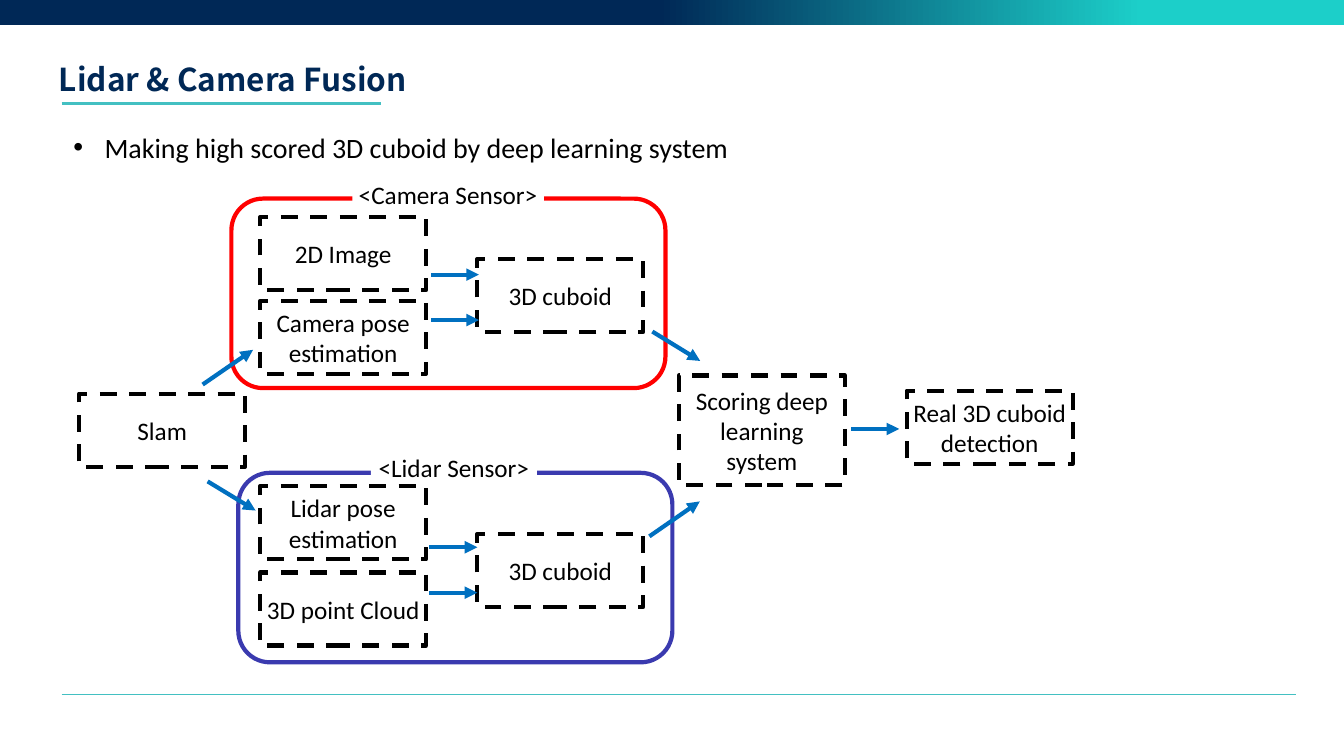
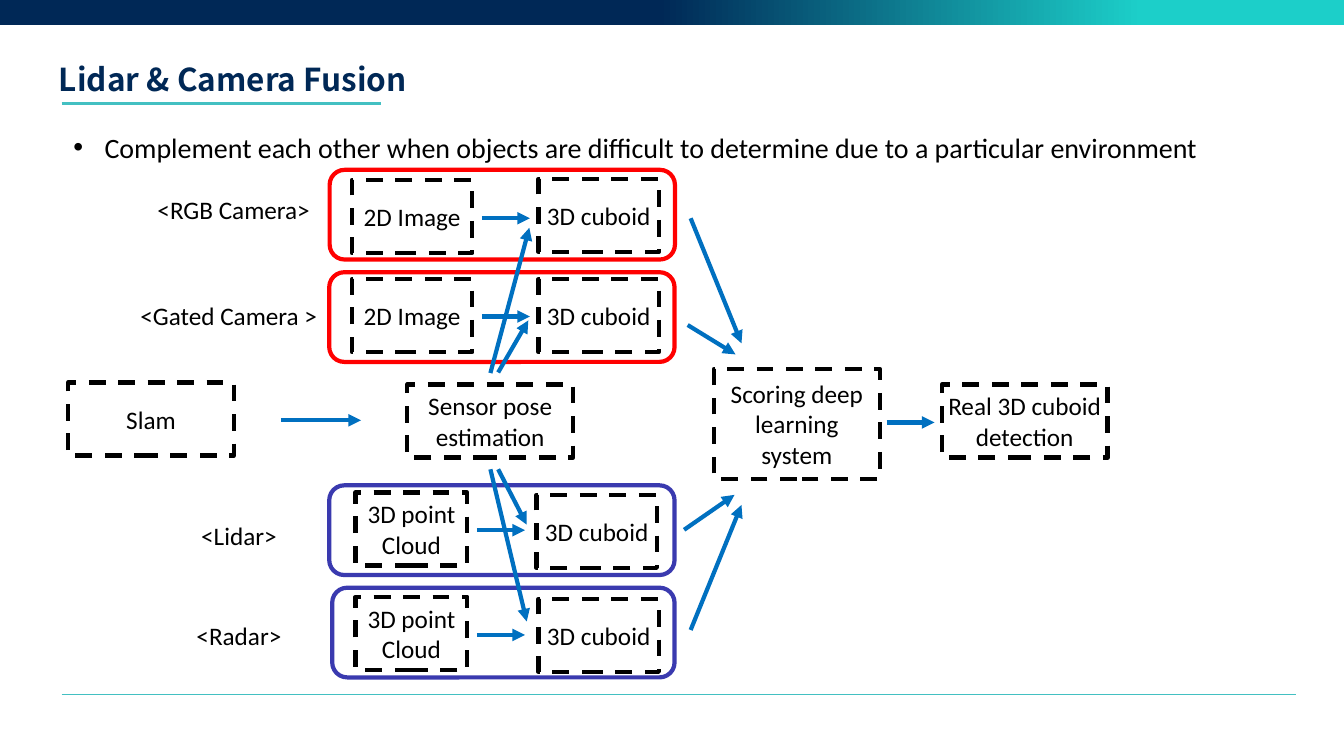
from lxml import etree
from pptx import Presentation
from pptx.dml.color import RGBColor
from pptx.enum.dml import MSO_LINE
from pptx.enum.shapes import MSO_CONNECTOR, MSO_SHAPE
from pptx.enum.text import MSO_ANCHOR, PP_ALIGN
from pptx.oxml.ns import qn
from pptx.util import Cm, Pt

COLORS = {
    "navy": "002856",
    "teal": "43C0C2",
    "aqua": "1CCFC9",
    "black": "000000",
    "white": "FFFFFF",
    "camera": "FF0000",
    "lidar": "3A3AAF",
    "arrow": "0070C0",
}
TITLE_FONT = "Noto Sans CJK KR"
BODY_FONT = "Calibri"
SLIDE_WIDTH, SLIDE_HEIGHT = 67.72, 38.1
BOX_WIDTH, BOX_HEIGHT = 8.36, 3.68
SCORING_HEIGHT = 5.54
SMALL_WIDTH = 6.07
LABEL_HEIGHT = 1.57
BULLET_INDENT = 1.57


def color(name):
    return RGBColor.from_string(COLORS[name])


def write(shape, text, *, size=36, font=BODY_FONT, ink="black", bold=False,
          align=PP_ALIGN.CENTER, anchor=MSO_ANCHOR.MIDDLE, bullet=False, spacing=None):
    """Put one formatted paragraph into a shape."""
    frame = shape.text_frame
    frame.word_wrap = True
    frame.vertical_anchor = anchor
    paragraph = frame.paragraphs[0]
    if bullet:
        properties = paragraph._p.get_or_add_pPr()
        properties.set("marL", str(Cm(BULLET_INDENT)))
        properties.set("indent", str(-Cm(BULLET_INDENT)))
        etree.SubElement(properties, qn("a:buFont"), typeface="Arial")
        etree.SubElement(properties, qn("a:buChar"), char="•")
    paragraph.alignment = align
    if spacing:
        paragraph.line_spacing = spacing
    run = paragraph.add_run()
    run.text = text
    run.font.name = font
    run.font.size = Pt(size)
    run.font.bold = bold
    run.font.color.rgb = color(ink)


def add_outline(slide, kind, left, top, width, height, *, line=None, fill=None, dash=None):
    shape = slide.shapes.add_shape(kind, Cm(left), Cm(top), Cm(width), Cm(height))
    shape.shadow.inherit = False
    if fill:
        shape.fill.solid()
        shape.fill.fore_color.rgb = color(fill)
    else:
        shape.fill.background()
    if line:
        shape.line.color.rgb = color(line)
        shape.line.width = Pt(6)
        shape.line.dash_style = dash
    else:
        shape.line.fill.background()
    return shape


def add_step(slide, text, left, top, width=BOX_WIDTH, height=BOX_HEIGHT):
    """Dashed box for one processing step."""
    box = add_outline(slide, MSO_SHAPE.RECTANGLE, left, top, width, height,
                      line="black", dash=MSO_LINE.DASH)
    write(box, text)


def add_frame(slide, left, top, width, height, line):
    """Rounded outline around the steps of one sensor."""
    add_outline(slide, MSO_SHAPE.ROUNDED_RECTANGLE, left, top, width, height, line=line)


def add_label(slide, text, left, top, width):
    label = add_outline(slide, MSO_SHAPE.RECTANGLE, left, top, width, LABEL_HEIGHT, fill="white")
    write(label, text)


def add_line(slide, start, end, ink, width):
    connector = slide.shapes.add_connector(
        MSO_CONNECTOR.STRAIGHT, *(Cm(value) for value in (*start, *end)))
    connector.line.color.rgb = color(ink)
    connector.line.width = Pt(width)
    etree.SubElement(connector._element.spPr, qn("a:effectLst"))
    return connector


def add_arrow(slide, start, end):
    connector = add_line(slide, start, end, "arrow", 6)
    etree.SubElement(connector.line._get_or_add_ln(), qn("a:tailEnd"), type="triangle")


def add_text(slide, text, left, top, width, height, **text_format):
    box = slide.shapes.add_textbox(Cm(left), Cm(top), Cm(width), Cm(height))
    write(box, text, align=PP_ALIGN.LEFT, **text_format)


def add_band(slide):
    band = add_outline(slide, MSO_SHAPE.RECTANGLE, 0, 0, SLIDE_WIDTH, 1.24)
    band.fill.gradient()
    band.fill.gradient_angle = 0
    stops = ((0.49, "navy"), (0.85, "aqua"))
    for stop, (position, name) in zip(band.fill.gradient_stops, stops):
        stop.position = position
        stop.color.rgb = color(name)


def add_base_slide(presentation, message, message_height):
    """Blank slide with the shared title, rules and band, and its main message."""
    slide = presentation.slides.add_slide(presentation.slide_layouts[6])
    add_text(slide, "Lidar & Camera Fusion", 2.72, 2.9, 18.72, 2.18,
             size=45, font=TITLE_FONT, ink="navy", bold=True)
    add_line(slide, (3.1, 5.23), (19.18, 5.23), "teal", 4.5)
    add_line(slide, (3.1, 35), (65.3, 35), "teal", 0.5)
    add_band(slide)
    add_text(slide, message, 3.45, 5.59, 62.2, message_height,
             size=40, anchor=MSO_ANCHOR.TOP, bullet=True, spacing=1.5)
    return slide


def add_two_sensor_flow(slide):
    add_step(slide, "Slam", 3.99, 19.84)
    for text, top in (("2D Image", 10.95), ("Camera pose estimation", 15.16),
                      ("Lidar pose estimation", 24.51), ("3D point Cloud", 28.85)):
        add_step(slide, text, 13.11, top)
    for top in (13.06, 26.92):
        add_step(slide, "3D cuboid", 24.05, top)
    add_step(slide, "Scoring deep learning system", 34.21, 18.92, height=SCORING_HEIGHT)
    add_step(slide, "Real 3D cuboid detection", 45.69, 19.69)

    add_frame(slide, 11.66, 10.01, 21.87, 9.55, "camera")
    add_frame(slide, 12.01, 23.83, 21.87, 9.55, "lidar")

    for start, end in (
        ((10.21, 19.38), (12.75, 17.63)),
        ((10.46, 24.26), (12.88, 25.73)),
        ((32.87, 16.71), (35.28, 18.19)),
        ((32.72, 27.03), (35.26, 25.27)),
        ((42.9, 21.62), (45.31, 21.62)),
    ):
        add_arrow(slide, start, end)
    for left, first_top in ((21.72, 13.84), (21.64, 27.58)):
        for top in (first_top, first_top + 2.29):
            add_arrow(slide, (left, top), (left + 2.41, top))

    add_label(slide, "<Camera Sensor>", 17.75, 9.02, 9.65)
    add_label(slide, "<Lidar Sensor>", 18.69, 22.78, 8.36)


def add_sensor_row(slide, *, label, frame, line, source, cuboid, arrow_top):
    """One sensor: its label, frame, input step, arrow and cuboid step."""
    add_label(slide, *label)
    frame_left, frame_top, frame_width = frame
    add_frame(slide, frame_left, frame_top, frame_width, 4.52, line)
    text, left, top, width = source
    add_step(slide, text, left, top, width)
    add_step(slide, "3D cuboid", *cuboid, SMALL_WIDTH)
    arrow_left = left + width + 0.48
    add_arrow(slide, (arrow_left, arrow_top), (arrow_left + 2.42, arrow_top))


def add_four_sensor_flow(slide):
    add_step(slide, "Slam", 3.43, 19.28)
    add_step(slide, "Sensor pose estimation", 20.52, 19.38)
    add_step(slide, "Scoring deep learning system", 35.97, 18.59, height=SCORING_HEIGHT)
    add_step(slide, "Real 3D cuboid detection", 47.45, 19.38)

    add_sensor_row(slide, label=("<RGB Camera>", 7.42, 9.78, 8.71), line="camera",
                   frame=(16.61, 8.56, 17.4), source=("2D Image", 17.73, 9.07, SMALL_WIDTH),
                   cuboid=(27.13, 9.02), arrow_top=11)
    add_sensor_row(slide, label=("<Gated Camera >", 6.65, 15.11, 9.75), line="camera",
                   frame=(16.59, 13.72, 17.4), source=("2D Image", 17.73, 14.07, SMALL_WIDTH),
                   cuboid=(27.13, 14.07), arrow_top=15.95)
    add_sensor_row(slide, label=("<Lidar>", 9.5, 26.21, 5.08), line="lidar",
                   frame=(16.59, 24.46, 17.4), source=("3D point Cloud", 17.91, 24.82, 5.64),
                   cuboid=(27.03, 24.94), arrow_top=26.72)
    add_sensor_row(slide, label=("<Radar>", 7.52, 31.24, 9.04), line="lidar",
                   frame=(16.74, 29.62, 17.25), source=("3D point Cloud", 17.91, 30.07, 5.64),
                   cuboid=(27.13, 30.18), arrow_top=32)

    for start, end in (
        ((14.15, 21.18), (18.19, 21.18)),
        ((24.71, 18.8), (26.67, 11.48)),
        ((25.1, 18.77), (26.62, 16.15)),
        ((24.71, 23.65), (26.54, 31.32)),
        ((25.1, 23.65), (26.54, 26.44)),
        ((34.8, 11), (37.36, 17.3)),
        ((34.65, 16.38), (37.06, 17.86)),
        ((34.47, 26.7), (37.01, 24.94)),
        ((34.8, 31.75), (37.36, 25.45)),
        ((44.68, 21.29), (47.09, 21.29)),
    ):
        add_arrow(slide, start, end)


def main():
    presentation = Presentation()
    presentation.slide_width = Cm(SLIDE_WIDTH)
    presentation.slide_height = Cm(SLIDE_HEIGHT)
    add_two_sensor_flow(add_base_slide(
        presentation, "Making high scored 3D cuboid by deep learning system", 10.26))
    add_four_sensor_flow(add_base_slide(
        presentation,
        "Complement each other when objects are difficult to determine "
        "due to a particular environment", 2.57))
    presentation.save("out.pptx")


if __name__ == "__main__":
    main()
